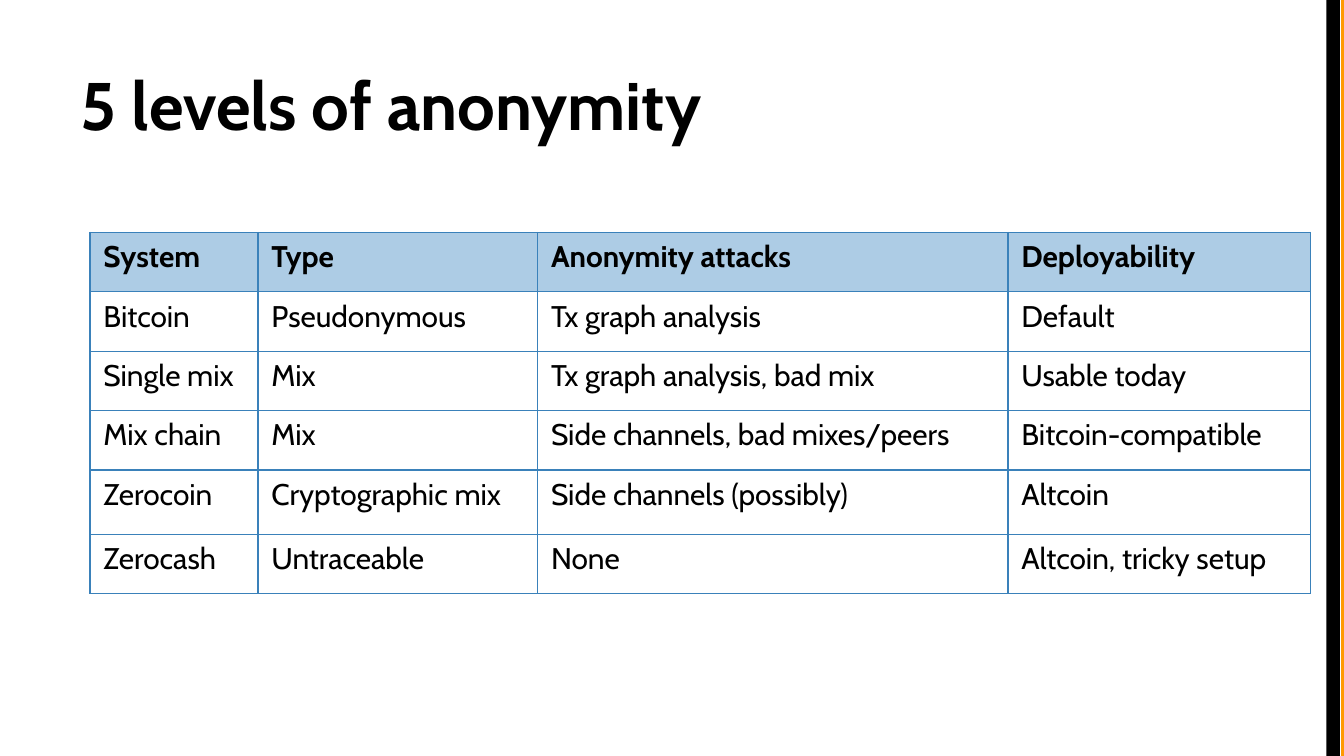
from pptx import Presentation
from pptx.dml.color import RGBColor
from pptx.enum.shapes import MSO_SHAPE as Shape
from pptx.enum.text import MSO_ANCHOR as Anchor, MSO_AUTO_SIZE as AutoSize, PP_ALIGN as Align
from pptx.oxml import parse_xml
from pptx.oxml.ns import nsdecls
from pptx.util import Inches, Pt

BLACK, ORANGE, HEADER_BLUE, BORDER_BLUE = "000000", "FF9900", "ADCCE5", "3A81BA"


def color(hex_value):
    return RGBColor.from_string(hex_value)


def write(frame, text, size=16, bold=False, anchor=Anchor.TOP):
    frame.text = text
    frame.word_wrap = True
    frame.vertical_anchor = anchor
    paragraph = frame.paragraphs[0]
    paragraph.alignment = Align.LEFT
    font = paragraph.runs[0].font
    font.name, font.size, font.bold = "Cabin", Pt(size), bold
    font.color.rgb = color(BLACK)


# A 16:9 slide
deck = Presentation()
deck.slide_width = width = Inches(10)
deck.slide_height = height = width * 9 // 16
slide = deck.slides.add_slide(deck.slide_layouts[5])

# Stripes along the right edge, the orange one bleeding over it
for left, stripe_color in [(9.98, ORANGE), (9.87, BLACK)]:
    stripe = slide.shapes.add_shape(
        Shape.RECTANGLE, Inches(left), 0, width // 100, height)
    stripe.shadow.inherit = False
    stripe.fill.solid()
    stripe.fill.fore_color.rgb = color(stripe_color)
    stripe.line.fill.background()

# Title
title = slide.shapes.title
title.left, title.top = Inches(0.5), Inches(0.23)
title.width, title.height = Inches(9), Inches(0.94)
heading = title.text_frame
heading.auto_size = AutoSize.NONE
heading.margin_left = heading.margin_right = Inches(0.1)
heading.margin_top = heading.margin_bottom = Inches(0.1)
write(heading, "5 levels of anonymity", size=36, bold=True, anchor=Anchor.BOTTOM)

# Comparison table
levels = [
    ("System", "Type", "Anonymity attacks", "Deployability"),
    ("Bitcoin", "Pseudonymous", "Tx graph analysis", "Default"),
    ("Single mix", "Mix", "Tx graph analysis, bad mix", "Usable today"),
    ("Mix chain", "Mix", "Side channels, bad mixes/peers", "Bitcoin-compatible"),
    ("Zerocoin", "Cryptographic mix", "Side channels (possibly)", "Altcoin"),
    ("Zerocash", "Untraceable", "None", "Altcoin, tricky setup"),
]
column_widths = [1.25, 2.08, 3.5, 2.25]
table_height, zerocoin_row, zerocoin_height = 2.69, 4, 0.48
plain_height = (table_height - zerocoin_height) / (len(levels) - 1)
table = slide.shapes.add_table(
    len(levels), len(column_widths), Inches(0.67), Inches(1.73),
    Inches(sum(column_widths)), Inches(table_height)).table
table.first_row = table.horz_banding = False
for column, column_width in zip(table.columns, column_widths):
    column.width = Inches(column_width)
for row in table.rows:
    row.height = Inches(plain_height)
table.rows[zerocoin_row].height = Inches(zerocoin_height)

for row_index, level in enumerate(levels):
    is_header = row_index == 0
    for column_index, entry in enumerate(level):
        cell = table.cell(row_index, column_index)
        write(cell.text_frame, entry, bold=is_header)
        if is_header:
            cell.fill.solid()
            cell.fill.fore_color.rgb = color(HEADER_BLUE)
        else:
            cell.fill.background()
        # Borders come before the fill in the cell properties
        properties = cell._tc.get_or_add_tcPr()
        for position, side in enumerate(("lnL", "lnR", "lnT", "lnB")):
            properties.insert(position, parse_xml(
                f'<a:{side} {nsdecls("a")} w="{Pt(0.75)}"><a:solidFill>'
                f'<a:srgbClr val="{BORDER_BLUE}"/></a:solidFill></a:{side}>'))

deck.save("out.pptx")
